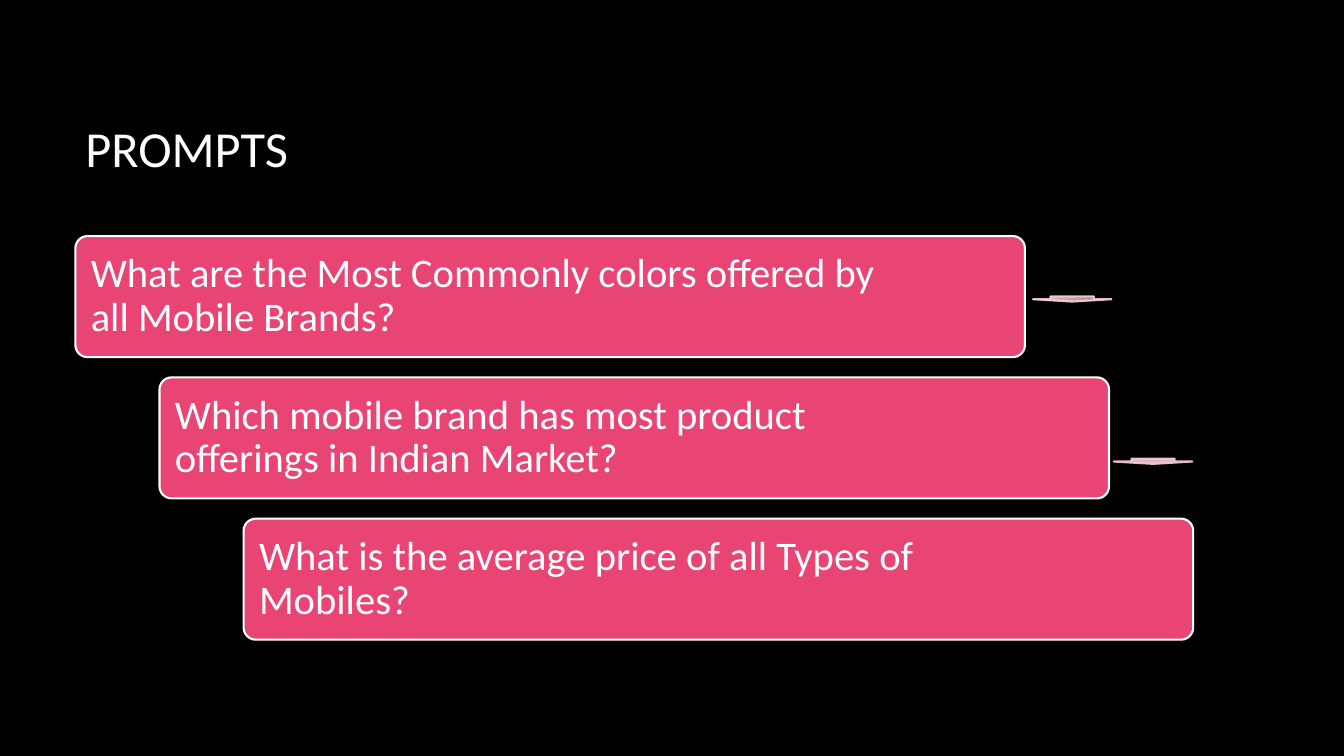
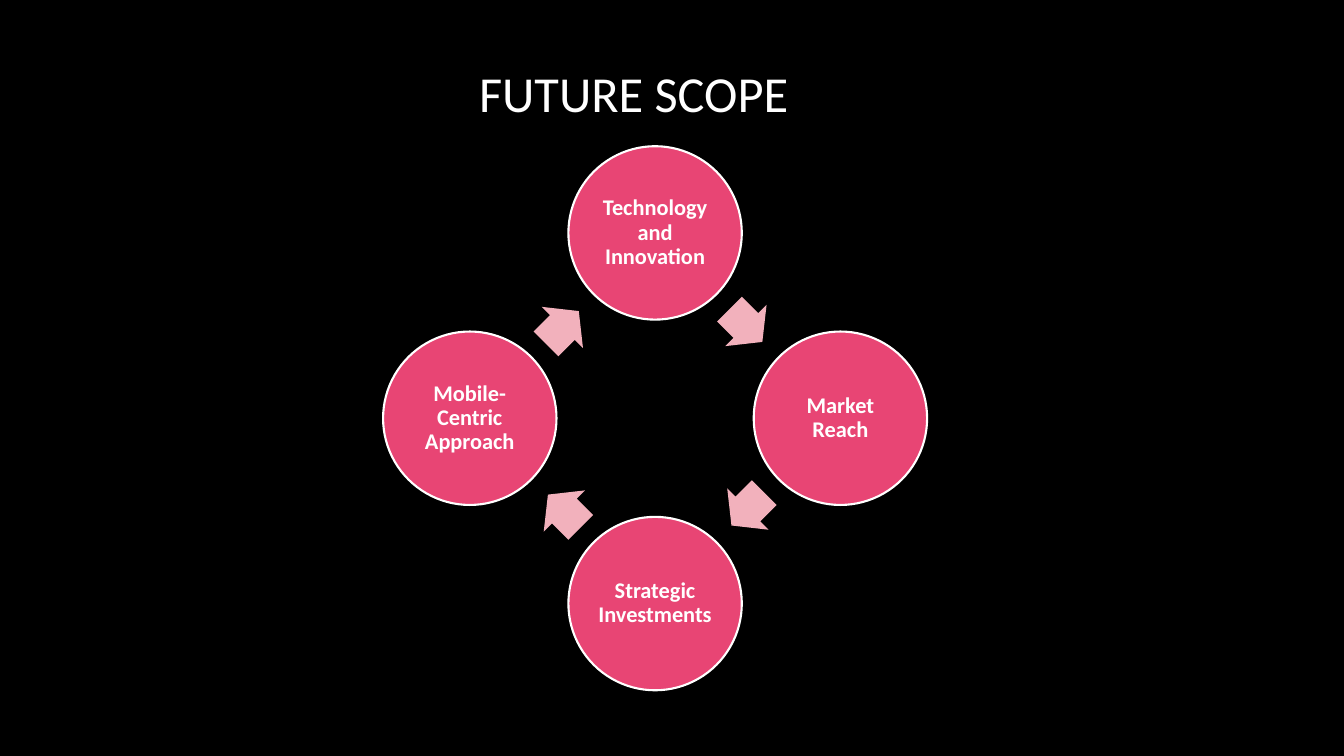
"""Build the prompts slide and the future scope slide."""
import dataclasses
import math

import lxml.etree
import pptx
import pptx.dml.color
import pptx.enum.shapes
import pptx.enum.text
import pptx.oxml.ns
import pptx.util

Cm = pptx.util.Cm
Pt = pptx.util.Pt
MSO = pptx.enum.shapes.MSO_SHAPE
ALIGN = pptx.enum.text.PP_ALIGN
MIDDLE = pptx.enum.text.MSO_ANCHOR.MIDDLE
NO_FIT = pptx.enum.text.MSO_AUTO_SIZE.NONE


@dataclasses.dataclass(frozen=True)
class Theme:
    """Colours, font and type sizes shared by the slides."""
    back: str = "000000"
    text: str = "FFFFFF"
    accent: str = "E84574"
    cycle_arrow: str = "F2B1BC"
    down_arrow: str = "F6CFD6"
    shade: tuple = ("94797D", "F9CCD4")
    font: str = "Calibri"
    title: int = 36
    bar: int = 29
    circle: int = 16
    line: float = 1.5
    opacity: int = 90


THEME = Theme()

PROMPTS = [
    ("What are the Most Commonly colors offered by all Mobile Brands?", 3.4),
    ("Which mobile brand has most product offerings in Indian Market?", 4.4),
    ("What is the average price of all Types of Mobiles?", 4.4),
]
SCOPE = [
    "Technology and Innovation",
    "Market Reach",
    "Strategic Investments",
    "Mobile-Centric Approach",
]


def rgb(code):
    """Return the colour for a hex code."""
    return pptx.dml.color.RGBColor.from_string(code)


def apply(obj, values):
    """Set each attribute named in a dict."""
    for name, value in values.items():
        setattr(obj, name, value)


def place(sp, left, top, width, height):
    """Move and size a shape, in centimetres."""
    apply(sp, {"left": Cm(left), "top": Cm(top),
               "width": Cm(width), "height": Cm(height)})


def write(sp, text, size, align, bold=False, spacing=None, insets=None):
    """Write one formatted paragraph, with insets as left, top, right, bottom."""
    tf = sp.text_frame
    apply(tf, {"word_wrap": True, "auto_size": NO_FIT, "vertical_anchor": MIDDLE})
    if insets:
        sides = ("margin_left", "margin_top", "margin_right", "margin_bottom")
        apply(tf, dict(zip(sides, map(Cm, insets))))
    p = tf.paragraphs[0]
    apply(p, {"alignment": align, "line_spacing": spacing})
    r = p.add_run()
    r.text = text
    apply(r.font, {"name": THEME.font, "size": Pt(size), "bold": bold})
    r.font.color.rgb = rgb(THEME.text)


def add_shape(slide, kind, box, fill, line=None, adjustments=()):
    """Add a flat preset shape with a solid fill and an optional outline."""
    sp = slide.shapes.add_shape(kind, *map(Cm, box))
    sp.shadow.inherit = False
    sp.fill.solid()
    sp.fill.fore_color.rgb = rgb(fill)
    if line:
        sp.line.color.rgb = rgb(line)
        sp.line.width = Pt(THEME.line)
    else:
        sp.line.fill.background()
    for i, value in enumerate(adjustments):
        sp.adjustments[i] = value
    return sp


def add_slide(prs, title, box, align):
    """Add a slide with its title placeholder moved and formatted."""
    slide = prs.slides.add_slide(prs.slide_layouts.get_by_name("Title Only"))
    place(slide.shapes.title, *box)
    write(slide.shapes.title, title, THEME.title, align)
    return slide


def add_bar(slide, left, top, text, right_inset):
    """Add a rounded bar with left-aligned text."""
    sp = add_shape(slide, MSO.ROUNDED_RECTANGLE, (left, top, 23.93, 3.05),
                   THEME.accent, THEME.text, (0.1,))
    write(sp, text, THEME.bar, ALIGN.LEFT, spacing=0.9,
          insets=(0.3, 0.3, right_inset, 0.3))


def add_down_arrow(slide, left, top, shade=None):
    """Add a flattened, translucent down arrow, optionally shaded."""
    sp = add_shape(slide, MSO.DOWN_ARROW, (left, top, 1.98, 0.13),
                   THEME.down_arrow, THEME.down_arrow, (0.55, 0.45))
    for colour in sp._element.spPr.iter(pptx.oxml.ns.qn("a:srgbClr")):
        alpha = lxml.etree.SubElement(colour, pptx.oxml.ns.qn("a:alpha"))
        alpha.set("val", str(THEME.opacity * 1000))
    if shade:
        sp.fill.gradient()
        sp.fill.gradient_angle = 225
        for stop, code in zip(sp.fill.gradient_stops, shade):
            stop.color.rgb = rgb(code)


def around(radius, degrees, width, height):
    """Return a box centred on the cycle at a clockwise angle from the top."""
    angle = math.radians(degrees)
    x = 16.51 + radius * math.sin(angle)
    y = 10.54 - radius * math.cos(angle)
    return x - width / 2, y - height / 2, width, height


def add_cycle(slide, labels):
    """Add labelled circles in a ring, with an arrow after each."""
    step = 360 / len(labels)
    for i, label in enumerate(labels):
        sp = add_shape(slide, MSO.OVAL, around(4.67, i * step, 4.37, 4.37),
                       THEME.accent, THEME.text)
        write(sp, label, THEME.circle, ALIGN.CENTER, bold=True, spacing=0.9,
              insets=(0.05,) * 4)
        turn = (i + 0.5) * step
        sp = add_shape(slide, MSO.RIGHT_ARROW, around(3.27, turn - 0.6, 1.17, 1.47),
                       THEME.cycle_arrow, adjustments=(0.6, 0.5))
        sp.rotation = turn


def build_prompts(prs):
    """Build the staggered list of prompts."""
    slide = add_slide(prs, "PROMPTS", (1.9, 1.7, 28.14, 4.04), ALIGN.LEFT)
    for i, (text, right_inset) in enumerate(PROMPTS):
        add_bar(slide, 1.9 + 2.12 * i, 5.95 + 3.56 * i, text, right_inset)
    add_down_arrow(slide, 26.03, 7.47, THEME.shade)
    add_down_arrow(slide, 28.07, 11.56)


def build_scope(prs):
    """Build the future scope cycle."""
    slide = add_slide(prs, "FUTURE SCOPE", (1.9, 0.94, 28.14, 2.79), ALIGN.CENTER)
    add_cycle(slide, SCOPE)


def main():
    """Build and save the presentation."""
    prs = pptx.Presentation()
    apply(prs, {"slide_width": Cm(33.87), "slide_height": Cm(19.05)})
    fill = prs.slide_master.background.fill
    fill.solid()
    fill.fore_color.rgb = rgb(THEME.back)
    build_prompts(prs)
    build_scope(prs)
    prs.save("out.pptx")


if __name__ == "__main__":
    main()
